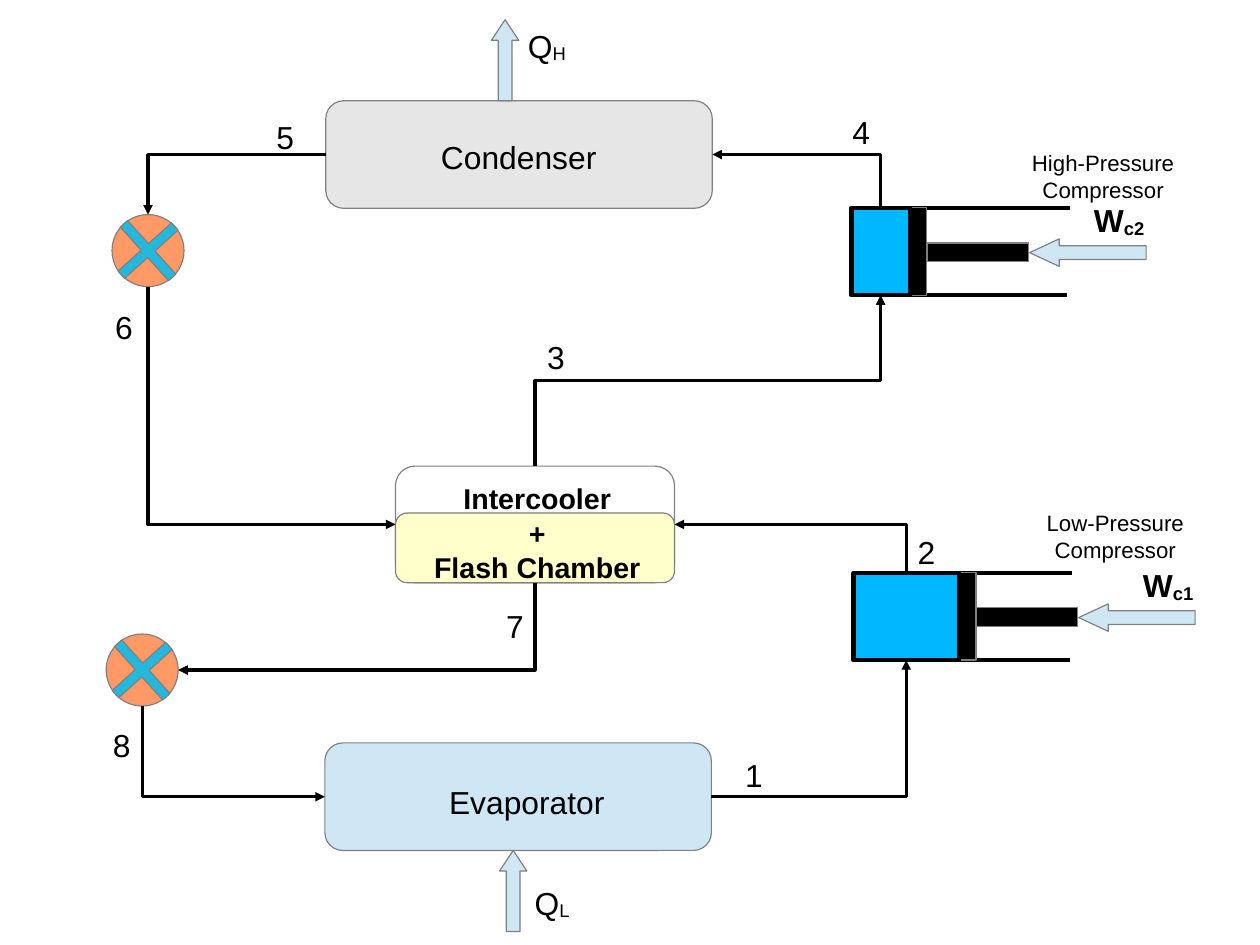
from lxml import etree
from pptx import Presentation
from pptx.dml.color import RGBColor
from pptx.enum import shapes, text
from pptx.oxml import ns
from pptx.util import Cm, Pt

COLORS = {
    "black": "000000", "outline": "808080", "ice": "CFE7F5", "grey": "E6E6E6",
    "white": "FFFFFF", "cream": "FFFFCC", "refrigerant": "00B8FF",
    "valve": "FF9966", "cross": "23B8DC",
}
KIND = shapes.MSO_SHAPE
TOP, LEFT, BOTTOM, RIGHT = range(4)


def color(name):
    """Return the named colour."""
    return RGBColor.from_string(COLORS[name])


def add_part(s, kind, x, y, w, h, fill, line="outline", weight=0, adj=()):
    """Add a filled preset shape, measured in centimetres."""
    sp = s.shapes.add_shape(kind, Cm(x), Cm(y), Cm(w), Cm(h))
    sp.shadow.inherit = False
    sp.fill.solid()
    sp.fill.fore_color.rgb = color(fill)
    sp.line.color.rgb = color(line)
    sp.line.width = Pt(weight)
    for i, value in enumerate(adj):
        sp.adjustments[i] = value
    return sp


def add_label(s, x, y, w, h, words, sub="", size=20, bold=False, align=text.PP_ALIGN.LEFT):
    """Add a text box with one paragraph a line and an optional subscript."""
    tf = s.shapes.add_textbox(Cm(x), Cm(y), Cm(w), Cm(h)).text_frame
    tf.word_wrap = True
    for i, line in enumerate(words.split("\n")):
        p = tf.add_paragraph() if i else tf.paragraphs[0]
        p.alignment = align
        for part in filter(None, (line, sub)):
            r = p.add_run()
            r.text = part
            r.font.name = "Arial"
            r.font.size = Pt(size)
            r.font.bold = bold
            r.font.color.rgb = color("black")
            if part == sub:
                r.font._element.set("baseline", "-8000")


def style_line(c, weight):
    """Make a connector black and remove its shadow."""
    c.line.color.rgb = color("black")
    c.line.width = Pt(weight)
    etree.SubElement(c._element.spPr, ns.qn("a:effectLst"))


def side_point(sp, side):
    """Return the middle of one side of a shape."""
    return (sp.left + sp.width * (0, 0, 1, 2)[side] // 2 if side in (LEFT, RIGHT)
            else sp.left + sp.width // 2,
            sp.top + sp.height * (0, 1, 2, 1)[side] // 2)


def add_pipe(s, start, start_side, end, end_side):
    """Join two shapes with an elbow arrow that leaves square to its side."""
    x1, y1 = side_point(start, start_side)
    x2, y2 = side_point(end, end_side)
    u, v, turn = x2 - x1, y2 - y1, 0
    if start_side in (TOP, BOTTOM):
        turn = 1 if u < 0 < v else -1
        u, v = turn * v, -turn * u
    left, top = (x1 + x2 - u) // 2, (y1 + y2 - v) // 2
    c = s.shapes.add_connector(shapes.MSO_CONNECTOR.ELBOW, left, top, left + u, top + v)
    c._connect_begin_to(start, site(start, start_side))
    c._connect_end_to(end, site(end, end_side))
    spPr = c._element.spPr
    if turn:
        spPr.xfrm.set("rot", str(turn * 90 % 360 * 60000))
    if start_side % 2 != end_side % 2:
        spPr.find(ns.qn("a:prstGeom")).set("prst", "bentConnector2")
    style_line(c, 0)
    etree.SubElement(c.line._get_or_add_ln(), ns.qn("a:tailEnd"), type="triangle")


def site(sp, side):
    """Return the connection site of a side; an ellipse has eight sites."""
    return side * 2 if sp.auto_shape_type == KIND.OVAL else side


def add_exchanger(s, x, y, name, fill, name_at, arrow, arrow_at, heat, heat_at):
    """Draw a heat exchanger with its heat flow arrow."""
    sp = add_part(s, KIND.ROUNDED_RECTANGLE, x, y, 8.59, 2.39, fill)
    add_label(s, x + name_at[0], y + name_at[1], 4.4, 1.04, name)
    add_part(s, arrow, x + arrow_at[0], y + arrow_at[1], 0.61, 1.8, "ice", adj=(0.5, 0.75))
    add_label(s, x + heat_at[0], y + heat_at[1], 1.68, 1.27, "Q", sub=heat)
    return sp


def add_compressor(s, x, y, stroke, name, name_at, work):
    """Draw a piston compressor with its work arrow and return the cylinder."""
    height = 1.94
    for wall, length in ((y, 4.85), (y + height, 4.8)):
        c = s.shapes.add_connector(shapes.MSO_CONNECTOR.STRAIGHT,
                                   Cm(x), Cm(wall), Cm(x + length), Cm(wall))
        style_line(c, 2.83)
    rod = x + stroke + 0.38
    tip = rod + 2.28
    add_part(s, KIND.RECTANGLE, rod, y + 0.78, 2.26, 0.41, "black")
    add_part(s, KIND.RECTANGLE, x + stroke, y, 0.38, height, "black")
    cylinder = add_part(s, KIND.RECTANGLE, x, y, stroke, height, "refrigerant", "black", 2.83)
    add_part(s, KIND.LEFT_ARROW, tip, y + 0.69, 2.59, 0.61, "ice", adj=(0.5, 1.08))
    add_label(s, tip + 1.18, y - 0.28, 1.83, 1.27, "W", sub=work, bold=True)
    add_label(s, x + name_at[0], y + name_at[1], 3.81, 1.37, name + "\nCompressor",
              size=14, align=text.PP_ALIGN.CENTER)
    return cylinder


def add_valve(s, x, y):
    """Draw an expansion valve: a disc with a diagonal cross."""
    disc = add_part(s, KIND.OVAL, x, y, 1.6, 1.6, "valve")
    cross = add_part(s, KIND.CROSS, x, y, 1.6, 1.6, "cross", adj=(0.432,))
    cross.rotation = 48
    return disc


def add_intercooler(s, x, y):
    """Draw the intercooler with the flash chamber in its lower part."""
    tank = add_part(s, KIND.ROUNDED_RECTANGLE, x, y, 6.2, 2.59, "white")
    add_part(s, KIND.ROUNDED_RECTANGLE, x, y + 1.04, 6.2, 1.55, "cream")
    add_label(s, x + 0.35, y + 0.21, 5.6, 2.39, "Intercooler\n+\nFlash Chamber",
              size=18, bold=True, align=text.PP_ALIGN.CENTER)
    return tank


def add_cycle(s):
    """Draw the two-stage refrigeration cycle."""
    evaporator = add_exchanger(s, 7.22, 16.51, "Evaporator", "ice", (2.51, 0.76),
                               KIND.UP_ARROW, (3.88, 2.39), "L", (4.41, 3))
    condenser = add_exchanger(s, 7.24, 2.24, "Condenser", "grey", (2.31, 0.69),
                              KIND.UP_ARROW, (3.68, -1.8), "H", (4.24, -1.78))
    low = add_compressor(s, 18.97, 12.73, 2.34, "Low-Pressure", (3.91, -1.53), "c1")
    high = add_compressor(s, 18.92, 4.62, 1.3, "High-Pressure", (3.69, -1.42), "c2")
    upper_valve = add_valve(s, 2.49, 4.77)
    lower_valve = add_valve(s, 2.36, 14.09)
    tank = add_intercooler(s, 8.79, 10.36)

    for pipe in (
        (evaporator, RIGHT, low, BOTTOM),
        (low, TOP, tank, RIGHT),
        (tank, TOP, high, BOTTOM),
        (high, TOP, condenser, RIGHT),
        (condenser, LEFT, upper_valve, TOP),
        (upper_valve, BOTTOM, tank, LEFT),
        (tank, BOTTOM, lower_valve, RIGHT),
        (lower_valve, BOTTOM, evaporator, LEFT),
    ):
        add_pipe(s, *pipe)

    states = ((16.31, 16.66), (20.14, 11.71), (11.91, 7.39), (18.69, 2.39),
              (5.89, 2.49), (2.31, 6.71), (11, 13.36), (2.26, 16))
    for number, (x, y) in enumerate(states, 1):
        add_label(s, x, y, 1, 1.04, str(number))


def main():
    """Build and save the slide."""
    prs = Presentation()
    prs.slide_width, prs.slide_height = Cm(28), Cm(21)
    add_cycle(prs.slides.add_slide(prs.slide_layouts[6]))
    prs.save("out.pptx")


if __name__ == "__main__":
    main()
